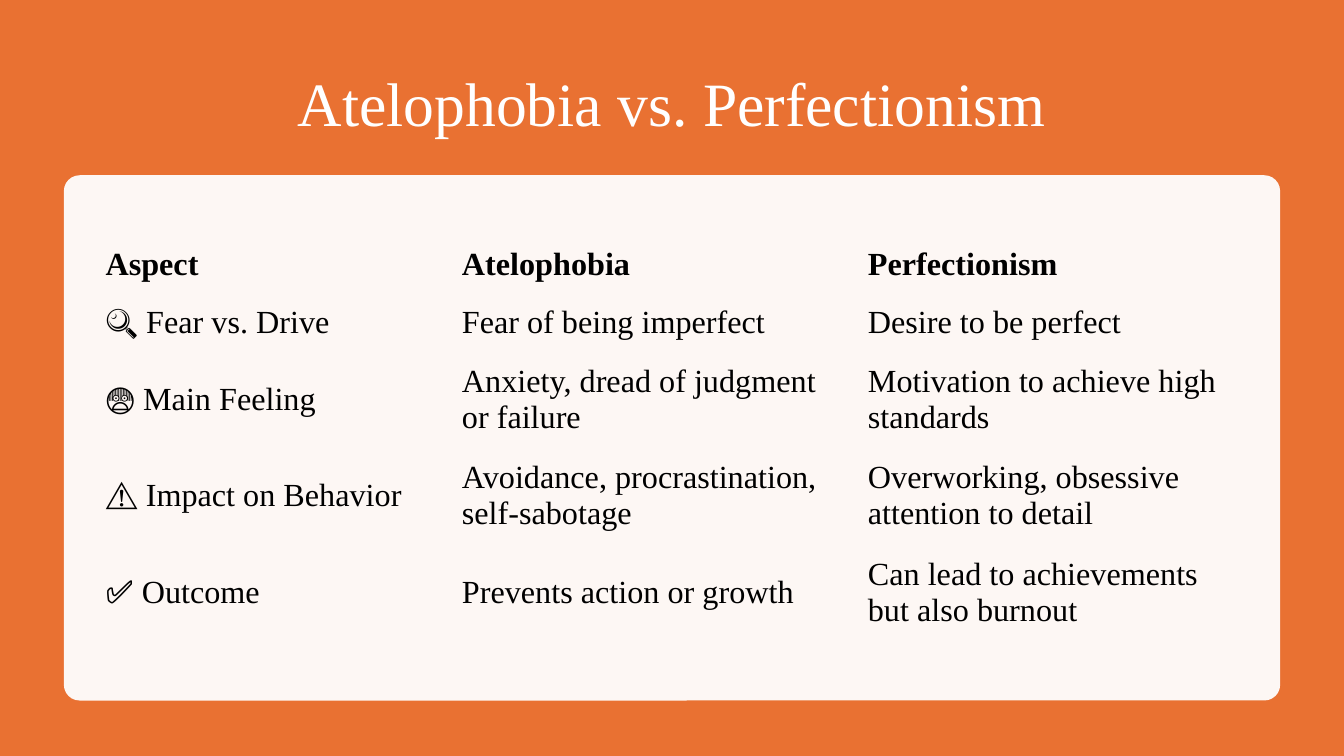
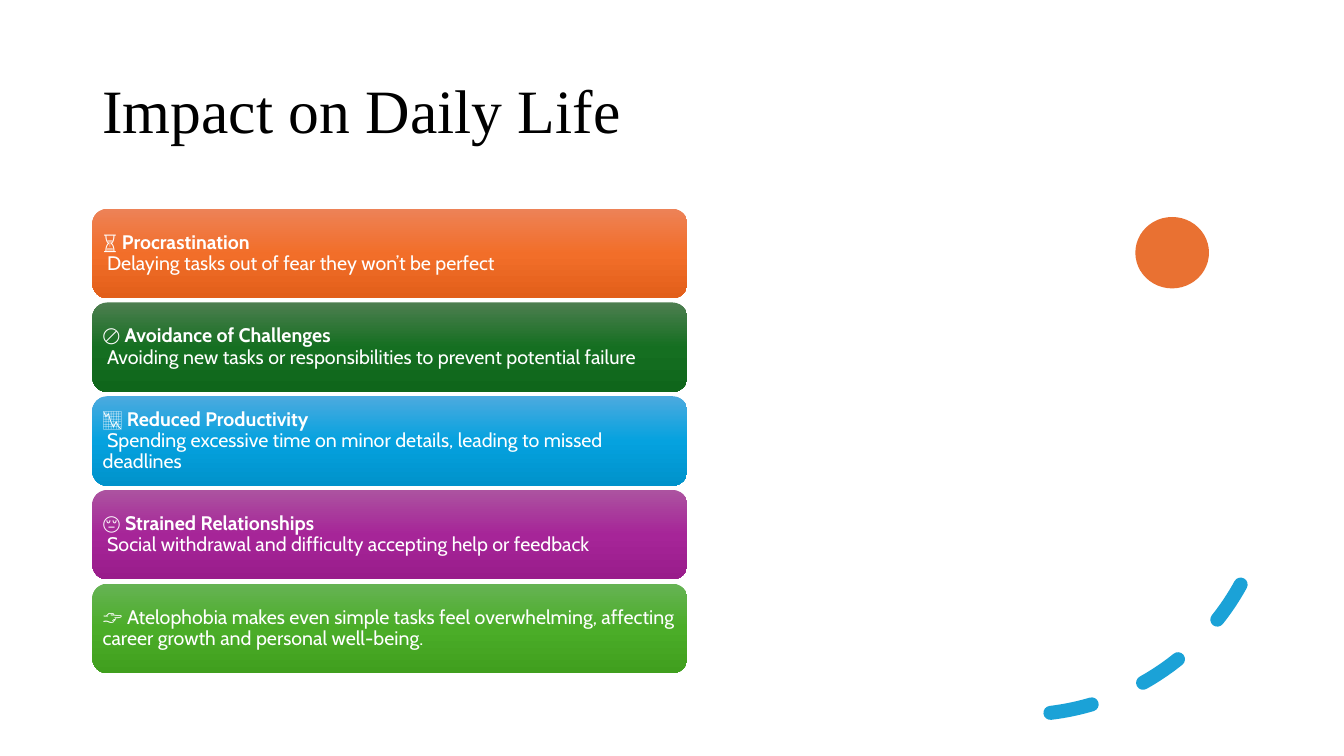
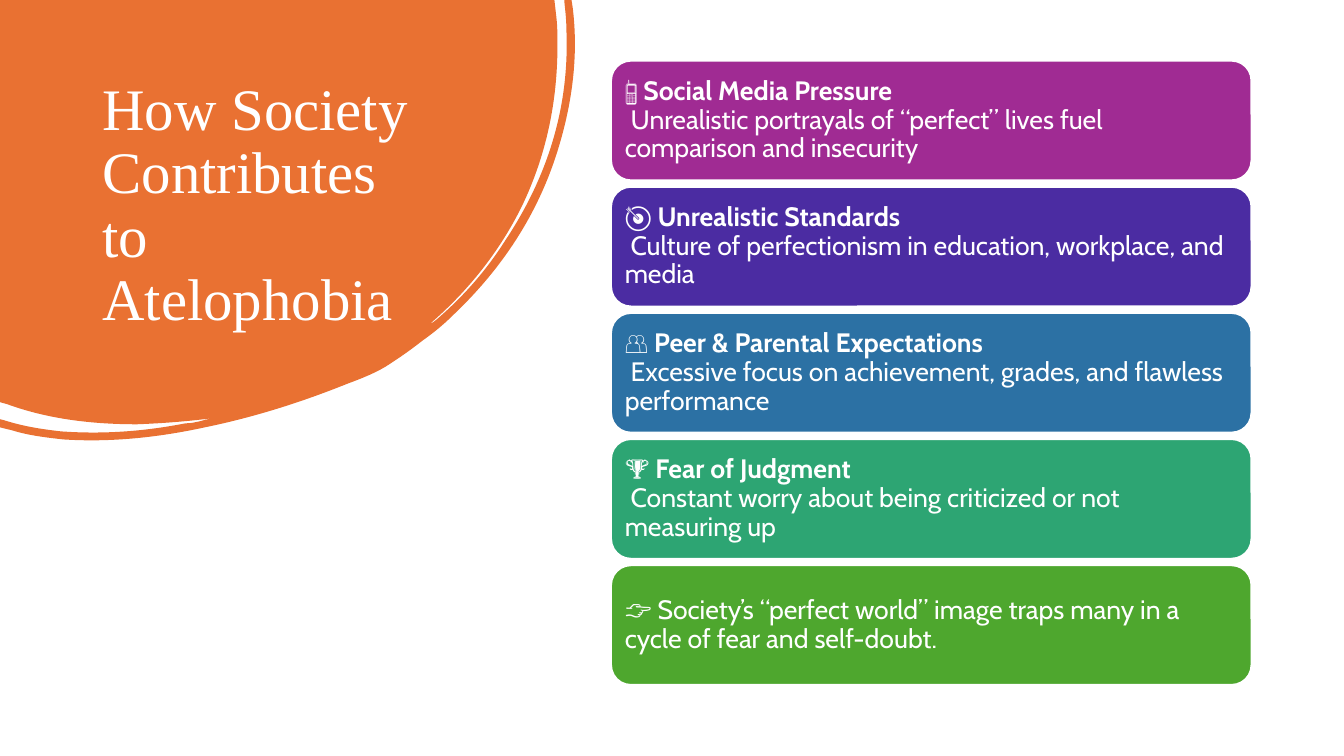
from copy import deepcopy

from pptx import Presentation
from pptx import util as u
from pptx.dml.color import RGBColor
from pptx.enum import dml, shapes, text
from pptx.oxml.ns import qn

WHITE = RGBColor(0xFF, 0xFF, 0xFF)
BLACK = RGBColor(0x00, 0x00, 0x00)
ORANGE = RGBColor(0xE9, 0x71, 0x32)
BLUE = RGBColor(0x0F, 0x9E, 0xD5)
PURPLE = RGBColor(0xA0, 0x2B, 0x93)
INDIGO = RGBColor(0x4B, 0x2C, 0xA2)
STEEL = RGBColor(0x2C, 0x71, 0xA4)
TEAL = RGBColor(0x2D, 0xA5, 0x73)
GREEN = RGBColor(0x4E, 0xA7, 0x2E)

# Top, middle and bottom colours of each shaded card
ORANGE_SHADES = (RGBColor(0xED, 0x82, 0x57), RGBColor(0xF2, 0x6E, 0x29), RGBColor(0xE2, 0x5F, 0x1A))
FOREST_SHADES = (RGBColor(0x4D, 0x7E, 0x50), RGBColor(0x15, 0x6F, 0x21), RGBColor(0x0F, 0x66, 0x1B))
BLUE_SHADES = (RGBColor(0x4C, 0xAA, 0xDF), RGBColor(0x05, 0xA2, 0xDF), RGBColor(0x00, 0x92, 0xCB))
PURPLE_SHADES = (RGBColor(0xAC, 0x53, 0xA0), RGBColor(0xA6, 0x25, 0x98), RGBColor(0x99, 0x1C, 0x8B))
GREEN_SHADES = (RGBColor(0x66, 0xB3, 0x54), RGBColor(0x4B, 0xAD, 0x28), RGBColor(0x40, 0x9F, 0x1E))

SERIF, SANS = "Times New Roman", "Cabin"
PAGE_WIDTH, PAGE_HEIGHT = 960, 540
PLAIN_TABLE = "{2D5ABB26-0587-4C30-8999-92F81FD0307C}"

COMPARISON = [
    ("Aspect", "Atelophobia", "Perfectionism"),
    ("🔍 Fear vs. Drive", "Fear of being imperfect", "Desire to be perfect"),
    ("😨 Main Feeling", "Anxiety, dread of judgment or failure",
     "Motivation to achieve high standards"),
    ("⚠️ Impact on Behavior", "Avoidance, procrastination, self-sabotage",
     "Overworking, obsessive attention to detail"),
    ("✅ Outcome", "Prevents action or growth", "Can lead to achievements but also burnout"),
]

# Each card: fill, icon, bold heading, detail
DAILY_LIFE = [
    (ORANGE_SHADES, "⏳", "Procrastination", "Delaying tasks out of fear they won’t be perfect"),
    (FOREST_SHADES, "🚫", "Avoidance of Challenges",
     "Avoiding new tasks or responsibilities to prevent potential failure"),
    (BLUE_SHADES, "📉", "Reduced Productivity",
     "Spending excessive time on minor details, leading to missed deadlines"),
    (PURPLE_SHADES, "😔", "Strained Relationships",
     "Social withdrawal and difficulty accepting help or feedback"),
    (GREEN_SHADES, "👉", "", "Atelophobia makes even simple tasks feel overwhelming, "
     "affecting career growth and personal well-being."),
]
SOCIETY = [
    (PURPLE, "📱", "Social Media Pressure",
     "Unrealistic portrayals of “perfect” lives fuel comparison and insecurity"),
    (INDIGO, "🎯", "Unrealistic Standards",
     "Culture of perfectionism in education, workplace, and media"),
    (STEEL, "👥", "Peer & Parental Expectations",
     "Excessive focus on achievement, grades, and flawless performance"),
    (TEAL, "🏆", "Fear of Judgment", "Constant worry about being criticized or not measuring up"),
    (GREEN, "👉", "", "Society’s “perfect world” image traps many in a cycle of fear and self-doubt."),
]

# Corner blob from the top left: two numbers draw a line, six draw a cubic curve
BLOB = [
    (396, 0), (397.4, 12.2),
    (398.2, 18.7, 398.2, 25.9, 398.2, 32.4),
    (398.2, 72.7, 390.2, 110.9, 373, 146.9),
    (357.1, 179.3, 334.8, 207.4, 307.4, 231.1),
    (308.9, 231.1, 309.6, 229.7, 311, 229),
    (330.5, 212.4, 347, 193.7, 360.7, 172.1),
    (391, 126.7, 406.8, 77, 404.6, 21.6),
    (404.6, 15.1, 403.9, 8.6, 403.2, 2.2),
    (403.2, 0), (408.2, 0), (409, 5),
    (413.3, 38.9, 409, 73.4, 398.2, 108),
    (383.8, 154.1, 357.8, 193, 322.6, 226.1),
    (316.1, 232.6, 308.9, 238.3, 301.7, 243.4),
    (294.5, 249.1, 287.3, 254.2, 278.6, 259.9),
    (270, 265.7, 259.2, 270, 247.7, 274.3),
    (215.3, 287.3, 181.4, 298.1, 146.2, 305.3),
    (113, 312.5, 79.2, 316.1, 45.4, 313.9),
    (32.4, 312.5, 20.2, 311, 8.6, 307.4),
    (0, 305.3), (0, 299.5), (2.9, 300.2),
    (16.6, 304.6, 30.2, 306.7, 43.9, 308.2),
    (74.2, 310.3, 103, 308.2, 132.5, 302.4),
    (136.8, 302.4, 139, 301.7, 142.6, 301),
    (145.4, 300.2, 148.3, 299.5, 151.2, 298.8),
    (133.9, 301, 115.9, 302.4, 97.9, 303.1),
    (66.2, 303.1, 34.6, 299.5, 5, 288.7),
    (0, 287.3),
]


def set_opacity(shape, percent):
    for colour in shape._element.spPr.iter(qn("a:srgbClr")):
        alpha = colour.makeelement(qn("a:alpha"), {"val": str(percent * 1000)})
        colour.append(alpha)


def set_font(paragraph, name, size, colour):
    font = paragraph.font
    font.name, font.size, font.color.rgb = name, u.Pt(size), colour


class Builder:
    """Holds the deck, its style and the slide being drawn."""

    def __init__(self):
        self.deck = Presentation()
        self.deck.slide_width, self.deck.slide_height = u.Pt(PAGE_WIDTH), u.Pt(PAGE_HEIGHT)
        self.page = None

    def new_page(self):
        self.page = self.deck.slides.add_slide(self.deck.slide_layouts[5])

    def title(self, words, left, top, width, height, size=44, colour=BLACK,
              align=text.PP_ALIGN.LEFT, anchor=text.MSO_ANCHOR.MIDDLE):
        """Fill the title and bring it in front of what is already drawn."""
        box = self.page.shapes.title
        box.left, box.top, box.width, box.height = map(u.Pt, (left, top, width, height))
        self.page.shapes._spTree.append(box._element)
        frame = box.text_frame
        frame.text = words
        frame.auto_size = text.MSO_AUTO_SIZE.NONE
        frame.vertical_anchor = anchor
        para = frame.paragraphs[0]
        para.alignment, para.line_spacing = align, 0.9
        set_font(para, SERIF, size, colour)

    def shape(self, kind, left, top, width, height, fill=None):
        """Add a shape without a line; three colours make a vertical gradient."""
        shape = self.page.shapes.add_shape(kind, *map(u.Pt, (left, top, width, height)))
        shape.shadow.inherit = False
        shape.line.fill.background()
        if fill is None:
            shape.fill.background()
        elif isinstance(fill, RGBColor):
            shape.fill.solid()
            shape.fill.fore_color.rgb = fill
        else:
            shape.fill.gradient()
            shape.fill.gradient_angle = 270
            stops = shape._element.spPr.find(".//" + qn("a:gsLst"))
            stops.append(deepcopy(stops[0]))
            for stop, place, colour in zip(shape.fill.gradient_stops, (0, 0.5, 1), fill):
                stop.position, stop.color.rgb = place, colour
        return shape

    def cards(self, rows, left, top, width, height, pitch, size, outline=None):
        for index, (fill, icon, heading, detail) in enumerate(rows):
            card = self.shape(shapes.MSO_SHAPE.ROUNDED_RECTANGLE,
                              left, top + index * pitch, width, height, fill)
            if outline is not None:
                card.line.color.rgb, card.line.width = outline, u.Pt(1.5)
            frame = card.text_frame
            frame.word_wrap = True
            frame.vertical_anchor = text.MSO_ANCHOR.MIDDLE
            inset = u.Pt(0.3 * size)
            frame.margin_left = frame.margin_right = inset
            frame.margin_top = frame.margin_bottom = inset
            para = frame.paragraphs[0]
            para.alignment, para.line_spacing = text.PP_ALIGN.LEFT, 0.9
            set_font(para, SANS, size, WHITE)
            if not heading:
                para.add_run().text = f"{icon} {detail}"
                continue
            para.add_run().text = icon + " "
            span = para.add_run()
            span.text, span.font.bold = heading, True
            para.add_line_break()
            para.add_run().text = " " + detail

    def table(self, rows, left, top, widths, heights, size):
        frame = self.page.shapes.add_table(
            len(rows), len(widths), u.Pt(left), u.Pt(top), u.Pt(sum(widths)), u.Pt(sum(heights)))
        table = frame.table
        table.horz_banding = False
        table._tbl.tblPr.find(qn("a:tableStyleId")).text = PLAIN_TABLE
        for column, width in zip(table.columns, widths):
            column.width = u.Pt(width)
        for row, height, words in zip(table.rows, heights, rows):
            row.height = u.Pt(height)
            for cell, word in zip(row.cells, words):
                cell.text = word
                cell.fill.background()
                cell.vertical_anchor = text.MSO_ANCHOR.MIDDLE
                cell.margin_left = cell.margin_right = u.Pt(9.2)
                cell.margin_top = cell.margin_bottom = u.Pt(4.6)
                para = cell.text_frame.paragraphs[0]
                set_font(para, SERIF, size, BLACK)
                para.font.bold = words is rows[0]

    def dashed_arc(self, left, top, size, colour):
        arc = self.shape(shapes.MSO_SHAPE.ARC, left, top, size, size)
        arc.adjustments[0], arc.adjustments[1] = 162, 200.93
        arc.rotation = 353.2
        arc.line.color.rgb, arc.line.width = colour, u.Pt(10)
        arc.line.dash_style = dml.MSO_LINE.DASH
        properties = arc._element.spPr
        properties.find(qn("a:xfrm")).set("flipV", "1")
        properties.find(qn("a:ln")).set("cap", "rnd")
        set_opacity(arc, 95)

    def outline(self, steps, fill):
        """Draw a closed outline from the page corner, bending the six-number steps."""
        builder = self.page.shapes.build_freeform(0, 0, scale=1.0)
        builder.add_line_segments([(u.Pt(step[-2]), u.Pt(step[-1])) for step in steps])
        blob = builder.convert_to_shape()
        segments = list(blob._element.spPr.iter(qn("a:lnTo")))
        for segment, step in zip(segments, steps):
            if len(step) == 6:
                curve = segment.makeelement(qn("a:cubicBezTo"), {})
                for x, y in zip(step[::2], step[1::2]):
                    place = {"x": str(u.Pt(x)), "y": str(u.Pt(y))}
                    curve.append(curve.makeelement(qn("a:pt"), place))
                segment.getparent().replace(segment, curve)
        blob.shadow.inherit = False
        blob.fill.solid()
        blob.fill.fore_color.rgb = fill
        blob.line.fill.background()


def main():
    show = Builder()

    show.new_page()
    show.shape(shapes.MSO_SHAPE.RECTANGLE, 0, 0, PAGE_WIDTH, PAGE_HEIGHT, ORANGE)
    show.title("Atelophobia vs. Perfectionism", 66, 36, 828, 79.8,
               colour=WHITE, align=text.PP_ALIGN.CENTER)
    panel = show.shape(shapes.MSO_SHAPE.ROUNDED_RECTANGLE, 45.6, 125.2, 868.8, 375.2, WHITE)
    panel.adjustments[0] = 0.03
    set_opacity(panel, 95)
    show.table(COMPARISON, 66.2, 168.7, (254.6, 290, 283.4), (41, 41, 69.1, 69.1, 69.1), 23)

    show.new_page()
    show.title("Impact on Daily Life", 66, 28.8, 828, 104.4)
    show.dashed_arc(549.8, 151.9, 358.6, BLUE)
    show.shape(shapes.MSO_SHAPE.OVAL, 811, 155, 52.6, 51, ORANGE)
    show.cards(DAILY_LIFE, 66, 149.1, 425, 64, 66.95, 14)

    show.new_page()
    show.outline(BLOB, ORANGE)
    show.title("How Society Contributes to Atelophobia", 66, 53.3, 253.4, 160,
               size=42, colour=WHITE, anchor=text.MSO_ANCHOR.TOP)
    show.cards(SOCIETY, 436.4, 43.3, 457.6, 85.6, 90.1, 19, outline=WHITE)

    show.deck.save("out.pptx")


if __name__ == "__main__":
    main()
